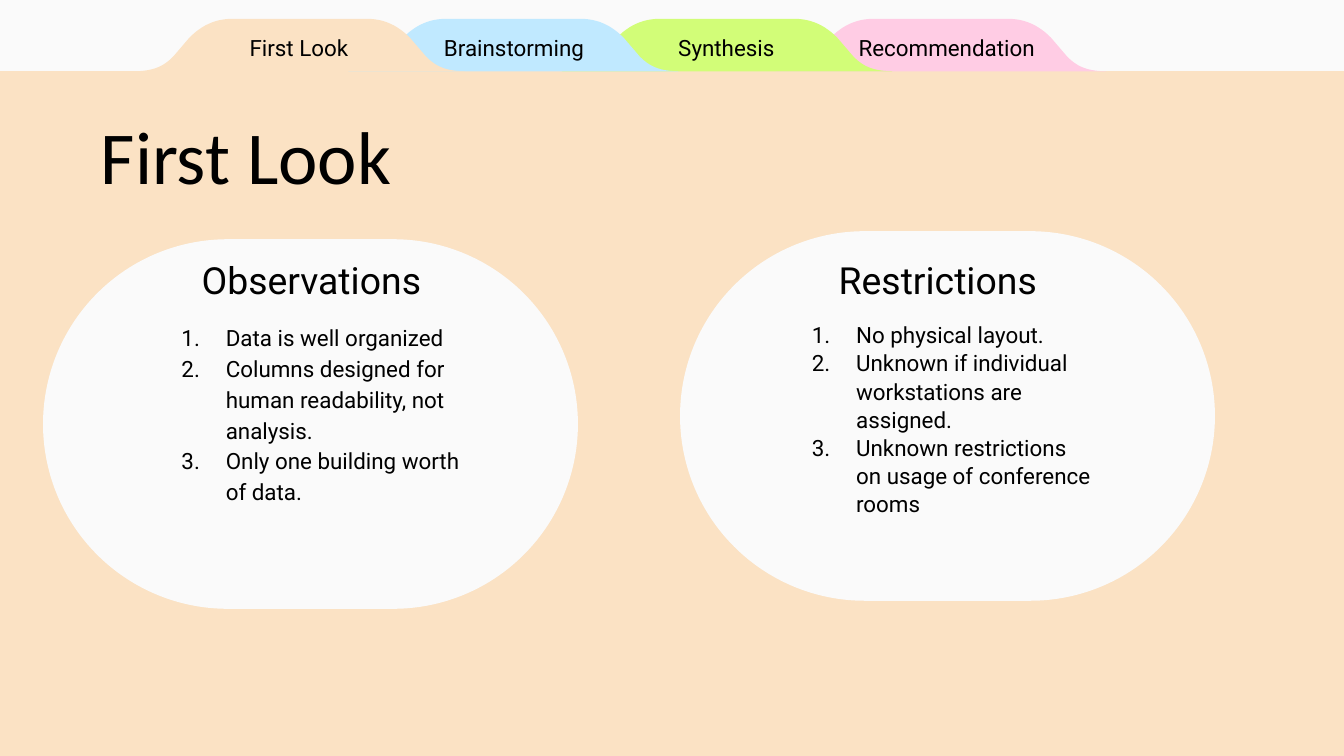
from lxml.etree import SubElement
from pptx import Presentation
from pptx.dml.color import RGBColor
from pptx.enum.shapes import MSO_SHAPE as Kind
from pptx.enum.text import MSO_ANCHOR as Anchor, MSO_AUTO_SIZE as Auto, PP_ALIGN as Align
from pptx.oxml.ns import qn
from pptx.util import Inches, Pt

PAPER, PEACH, BLACK = "FAFAFA", "FBE2C4", "000000"
TITLE = "First Look"
TABS = [
    ("First Look", PEACH, 1.44),
    ("Brainstorming", "C0E9FF", 3.04),
    ("Synthesis", "D2FD78", 4.62),
    ("Recommendation", "FFCCE4", 6.26),
]
PANELS = [
    {
        "head": "Observations", "head_left": 1.4, "list_left": 1.08,
        "card": (0.32, 1.78), "space": 1.15, "slots": (1, 2),
        "items": [
            "Data is well organized",
            "Columns designed for human readability, not analysis.",
            "Only one building worth of data.",
        ],
    },
    {
        "head": "Restrictions", "head_left": 6.14, "list_left": 5.77,
        "card": (5.06, 1.72), "space": 1.05, "slots": (3, 4),
        "items": [
            "No physical layout.",
            "Unknown if individual workstations are assigned.",
            "Unknown restrictions on usage of conference rooms",
        ],
    },
]
WIDE = 10
HIGH = WIDE * 9 / 16
TAB_TOP, TAB_W, TAB_H, TAB_STEP = 0.14, 2.46, 0.39, 1.59
PAGE_TOP = TAB_TOP + TAB_H
FOOT = [(0, 0.39), (0.16, 0.39), (0.23, 0.34), (0.29, 0.28)]
CROWN = [(0.41, 0.14), (0.5, 0.05), (0.6, 0), (0.73, 0)]


def color(code):
    return RGBColor.from_string(code)


def paint(shape, code):
    shape.shadow.inherit = False
    shape.fill.solid()
    shape.fill.fore_color.rgb = color(code)
    shape.line.fill.background()


def curve(ends, steps=12):
    points = []
    for step in range(steps + 1):
        t = step / steps
        parts = ((1 - t) ** 3, 3 * t * (1 - t) ** 2, 3 * t * t * (1 - t), t ** 3)
        points.append(tuple(sum(w * p[axis] for w, p in zip(parts, ends)) for axis in (0, 1)))
    return points


def add_round(slide, box, bend, code):
    shape = slide.shapes.add_shape(Kind.ROUNDED_RECTANGLE, *map(Inches, box))
    shape.adjustments[0] = bend
    paint(shape, code)


def add_tab(slide, left, code):
    rise = curve(FOOT) + curve(CROWN)
    edge = rise + [(TAB_W - x, y) for x, y in reversed(rise)]
    points = [(Inches(left + x), Inches(TAB_TOP + y)) for x, y in edge]
    form = slide.shapes.build_freeform(*points[0])
    form.add_line_segments(points[1:], close=True)
    paint(form.convert_to_shape(), code)


def number(para):
    props = para._p.get_or_add_pPr()
    props.set("marL", str(Inches(0.5)))
    props.set("indent", str(Inches(-0.33)))
    tint = SubElement(props, qn("a:buClr"))
    SubElement(tint, qn("a:srgbClr"), val=BLACK)
    SubElement(props, qn("a:buFont"), typeface="Roboto")
    SubElement(props, qn("a:buAutoNum"), type="arabicPeriod")


def write(shape, box, lines, size, face="Roboto", pads=(0.1, 0, 0.1, 0.1),
          align=Align.LEFT, anchor=Anchor.TOP, space=1.0, listed=False):
    shape.left, shape.top, shape.width, shape.height = map(Inches, box)
    frame = shape.text_frame
    frame.text = "\n".join(lines)
    frame.word_wrap = True
    frame.auto_size = Auto.NONE
    frame.vertical_anchor = anchor
    frame.margin_left, frame.margin_top, frame.margin_right, frame.margin_bottom = map(Inches, pads)
    for para in frame.paragraphs:
        para.alignment = align
        para.line_spacing = space
        para.space_before = Pt(0)
        if listed:
            number(para)
        for run in para.runs:
            run.font.size = Pt(size)
            run.font.name = face
            run.font.bold = False
            run.font.color.rgb = color(BLACK)


def main():
    deck = Presentation()
    deck.slide_width, deck.slide_height = Inches(WIDE), Inches(HIGH)
    slide = deck.slides.add_slide(deck.slide_layouts[4])
    slide.background.fill.solid()
    slide.background.fill.fore_color.rgb = color(PAPER)
    slots = {slot.placeholder_format.idx: slot for slot in slide.placeholders}

    add_round(slide, (0, PAGE_TOP, WIDE, HIGH - PAGE_TOP), 0, PEACH)
    for i, (_, code, _) in reversed(list(enumerate(TABS))):
        add_tab(slide, 1 + i * TAB_STEP, code)
    for panel in PANELS:
        add_round(slide, (*panel["card"], 3.98, 2.75), 0.5, PAPER)

    write(slots[0], (0.65, 0.82, 7.72, 0.94), [TITLE], 40, "Calibri")
    for panel in PANELS:
        head, body = (slots[key] for key in panel["slots"])
        write(head, (panel["head_left"], 1.91, 2.45, 0.4), [panel["head"]], 20)
        write(body, (panel["list_left"], 2.34, 2.45, 1.65), panel["items"], 12,
              pads=(0.1, 0.04, 0.1, 0.1), space=panel["space"], listed=True)
    for slot in slots.values():
        slot.element.getparent().append(slot.element)

    for name, _, left in TABS:
        box = (left, TAB_TOP, 1.57, TAB_H)
        label = slide.shapes.add_textbox(*map(Inches, box))
        write(label, box, [name], 12, pads=(0.1, 0, 0.1, 0),
              align=Align.CENTER, anchor=Anchor.MIDDLE, space=1.15)

    deck.save("out.pptx")


if __name__ == "__main__":
    main()
